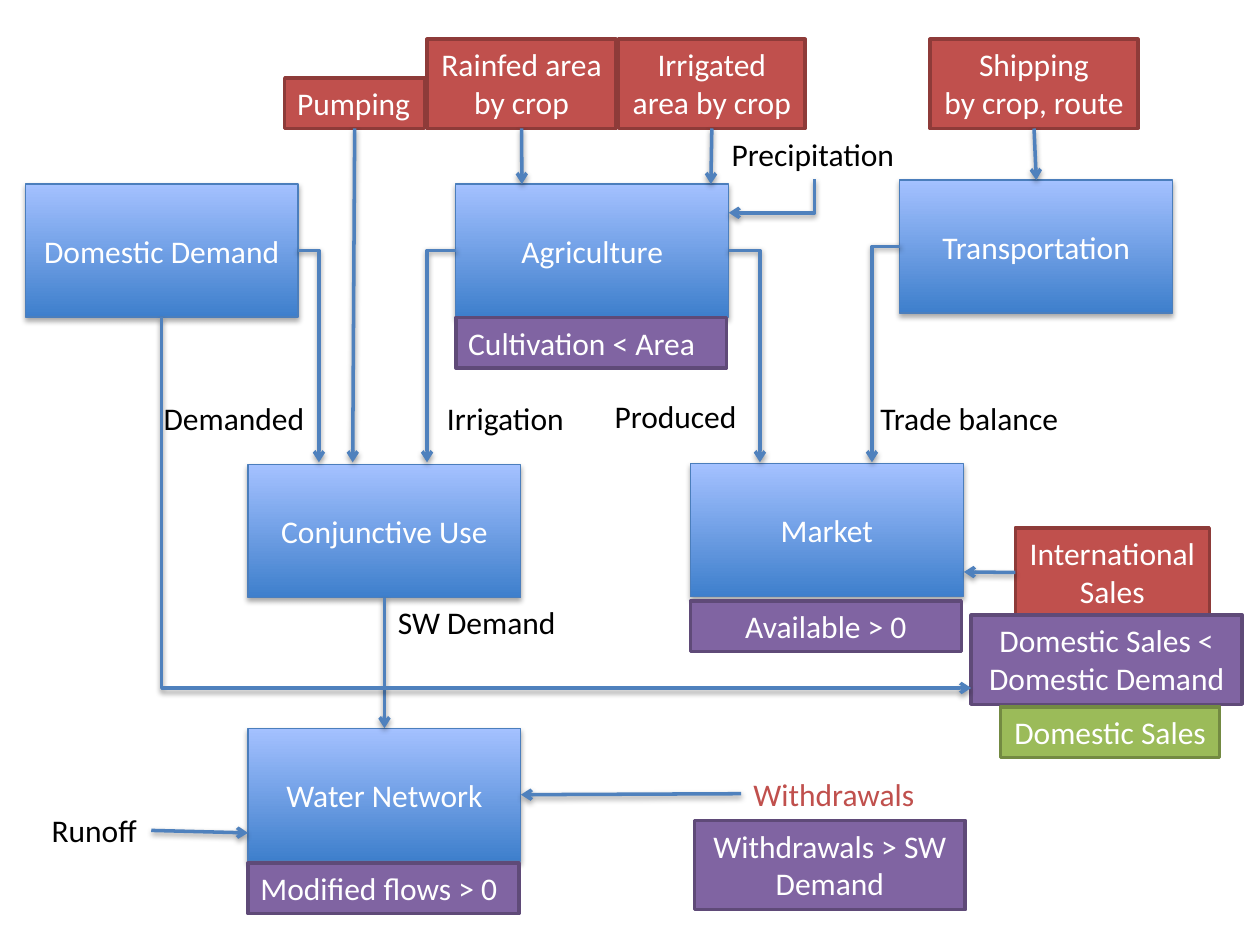
"""Build the flow diagram of water, crop and market modules."""
from pptx import Presentation
from pptx.dml.color import RGBColor as Rgb
from pptx.enum.shapes import MSO_CONNECTOR as Conn, MSO_SHAPE as Kind
from pptx.enum.text import MSO_ANCHOR as Anchor, MSO_AUTO_SIZE as Auto, PP_ALIGN as Align
from pptx.oxml.ns import qn
from pptx.util import Cm, Pt
from lxml.etree import SubElement

INK = {
    "white": "FFFFFF", "black": "000000", "blue": "4F81BD", "rim": "4B7EBC",
    "red": "C0504D", "red_rim": "8E3B39",
    "violet": "8064A2", "violet_rim": "5F4A78",
    "green": "9BBB59", "green_rim": "738A42",
}
TOP, LEFT, BOTTOM, RIGHT = range(4)
ROW, PAIR = 1.02, 1.8
WIDE = 5.46

MODULES = [
    ("Domestic Demand", 0.51, 3.71), ("Agriculture", 9.19, 3.71),
    ("Conjunctive Use", 5, 9.37), ("Water Network", 5, 14.68),
    ("Transportation", 18.14, 3.63), ("Market", 13.92, 9.35),
]
TAGS = [
    ("Shipping\nby crop, route", 18.75, 0.79, 4.19, PAIR, "red", Align.CENTER),
    ("Pumping", 5.74, 1.57, 2.82, ROW, "red", Align.LEFT),
    ("Rainfed area\nby crop", 8.61, 0.79, 3.81, PAIR, "red", Align.CENTER),
    ("Irrigated\narea by crop", 12.47, 0.79, 3.76, PAIR, "red", Align.CENTER),
    ("Modified flows > 0", 5, 17.4, WIDE, ROW, "violet", Align.LEFT),
    ("Available > 0", 13.92, 12.12, WIDE, ROW, "violet", Align.CENTER),
    ("Withdrawals > SW Demand", 14, 16.54, WIDE, PAIR, "violet", Align.CENTER),
    ("International\nSales", 20.47, 10.64, 3.91, PAIR, "red", Align.CENTER),
    ("Domestic Sales <\nDomestic Demand", 19.58, 12.4, WIDE, PAIR, "violet", Align.CENTER),
    ("Cultivation < Area", 9.19, 6.4, WIDE, ROW, "violet", Align.LEFT),
    ("Domestic Sales", 20.17, 14.25, 4.42, ROW, "green", Align.CENTER),
]
LABELS = [
    ("Trade balance", 17.5, 7.92, 4.19, "black"), ("Runoff", 0.79, 16.23, 2.26, "black"),
    ("Demanded", 3.05, 7.92, 3.38, "black"), ("Irrigation", 8.76, 7.92, 2.92, "black"),
    ("SW Demand", 7.77, 12.04, 3.73, "black"), ("Produced", 12.14, 7.87, 3, "black"),
    ("Precipitation", 14.5, 2.59, 3.84, "black"), ("Withdrawals", 14.94, 15.49, 3.84, "red"),
]
JOINS = [
    ("Conjunctive Use", BOTTOM, "Water Network", TOP),
    ("Shipping\nby crop, route", BOTTOM, "Transportation", TOP),
    ("Withdrawals", LEFT, "Water Network", RIGHT),
]
RUNS = [
    ("Pumping", BOTTOM, 7.11, 9.32), ("Rainfed area\nby crop", BOTTOM, 10.52, 3.71),
    ("Irrigated\narea by crop", BOTTOM, 14.33, 3.71), ("Runoff", RIGHT, 5, 16.79),
    ("International\nSales", LEFT, 19.43, 11.53),
]
BENDS = [
    ("Domestic Demand", RIGHT, 6.43, 9.32), ("Transportation", LEFT, 17.58, 9.32),
    ("Agriculture", LEFT, 8.61, 9.32), ("Agriculture", RIGHT, 15.32, 9.32),
    ("Precipitation", BOTTOM, 14.69, 4.29), ("Domestic Demand", BOTTOM, 19.58, 13.87),
]


def write(shape, text, ink, align):
    """Fill a shape with one paragraph per line of text."""
    frame = shape.text_frame
    frame.text = text
    for para in frame.paragraphs:
        para.alignment = align
        para.font.name, para.font.size = "Calibri", Pt(18)
        para.font.color.rgb = Rgb.from_string(INK[ink])
    return frame


def rect(slide, x, y, w, h, rim, width):
    """Add an outlined rectangle."""
    box = slide.shapes.add_shape(Kind.RECTANGLE, Cm(x), Cm(y), Cm(w), Cm(h))
    box.line.color.rgb = Rgb.from_string(INK[rim])
    box.line.width = Pt(width)
    return box


def module(slide, text, x, y):
    """Add a module box with the gradient and shadow of the theme."""
    box = rect(slide, x, y, 5.5, 2.68, "rim", 0.75)
    write(box, text, "white", Align.CENTER).vertical_anchor = Anchor.MIDDLE
    return box


def tag(slide, text, x, y, w, h, hue, align):
    """Add a flat coloured box for a variable or a constraint."""
    box = rect(slide, x, y, w, h, hue + "_rim", 2)
    box.shadow.inherit = False
    box.fill.solid()
    box.fill.fore_color.rgb = Rgb.from_string(INK[hue])
    frame = write(box, text, "white", align)
    frame.vertical_anchor = Anchor.TOP
    frame.word_wrap = hue == "violet"
    frame.auto_size = Auto.SHAPE_TO_FIT_TEXT
    return box


def label(slide, text, x, y, w, ink):
    """Add a plain one-line label."""
    box = slide.shapes.add_textbox(Cm(x), Cm(y), Cm(w), Cm(ROW))
    frame = write(box, text, ink, Align.LEFT)
    frame.word_wrap = False
    frame.auto_size = Auto.SHAPE_TO_FIT_TEXT
    return box


def arrow(slide, start, side, x=0, y=0, kind=Conn.STRAIGHT):
    """Add an arrow from the middle of a side to a point."""
    line = slide.shapes.add_connector(kind, Cm(x), Cm(y), Cm(x), Cm(y))
    line.begin_connect(start, side)
    line.line.color.rgb = Rgb.from_string(INK["blue"])
    line.line.width = Pt(2)
    SubElement(line.line._get_or_add_ln(), qn("a:tailEnd"), type="arrow")
    return line


def bend(slide, start, side, x, y):
    """Add an arrow with one corner, leaving square to the side."""
    line = arrow(slide, start, side, x, y, Conn.ELBOW)
    props = line._element.spPr
    props.find(qn("a:prstGeom")).set("prst", "bentConnector2")
    if side == BOTTOM:
        left = line.end_x < line.begin_x
        w, h = line.width, line.height
        line.left, line.top = line.left + (w - h) // 2, line.top + (h - w) // 2
        line.width, line.height = h, w
        form = props.find(qn("a:xfrm"))
        form.set("rot", "5400000" if left else "16200000")
        form.set("flipH", "0" if left else "1")


def main():
    """Build and save the slide."""
    deck = Presentation()
    deck.slide_width, deck.slide_height = Cm(25.4), Cm(19.05)
    slide = deck.slides.add_slide(deck.slide_layouts[6])
    parts = {}
    for make, rows in ((module, MODULES), (tag, TAGS), (label, LABELS)):
        for row in rows:
            parts[row[0]] = make(slide, *row)
    for name, side, goal, port in JOINS:
        arrow(slide, parts[name], side).end_connect(parts[goal], port)
    for make, rows in ((arrow, RUNS), (bend, BENDS)):
        for name, *rest in rows:
            make(slide, parts[name], *rest)
    deck.save("out.pptx")


if __name__ == "__main__":
    main()
